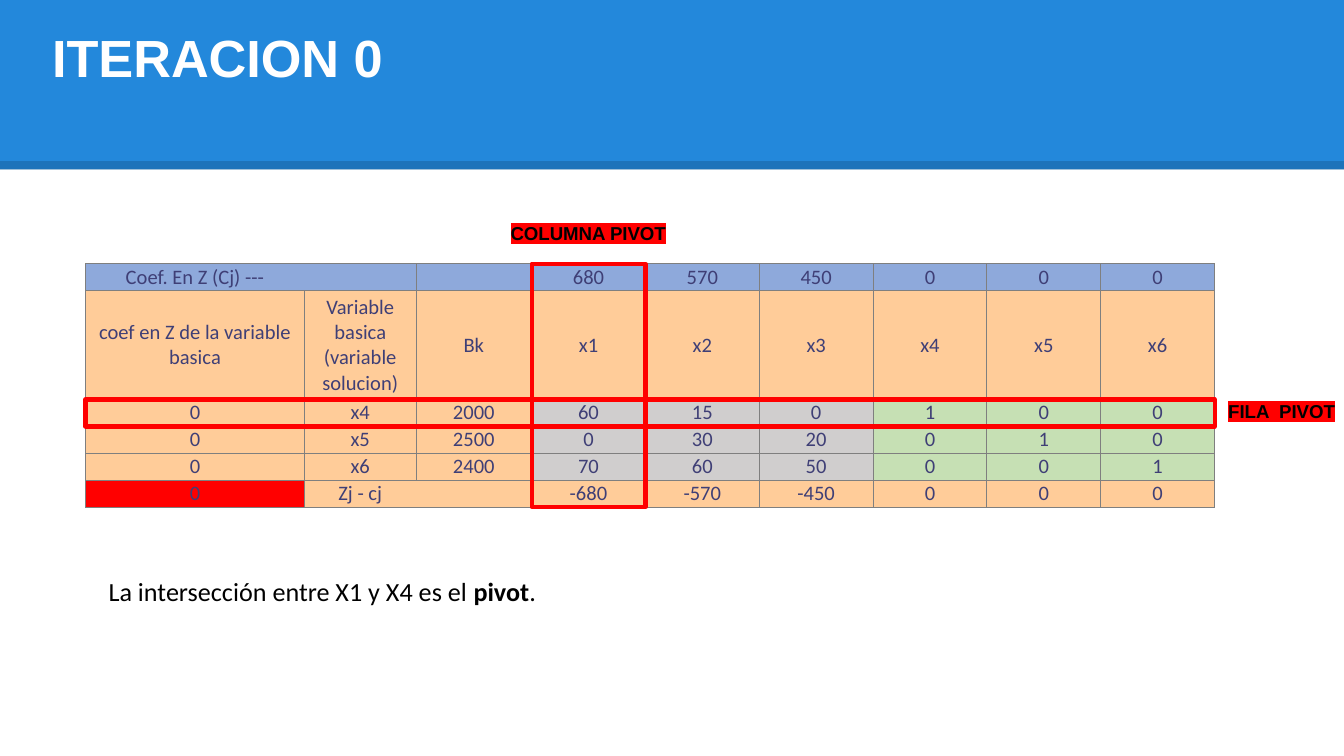
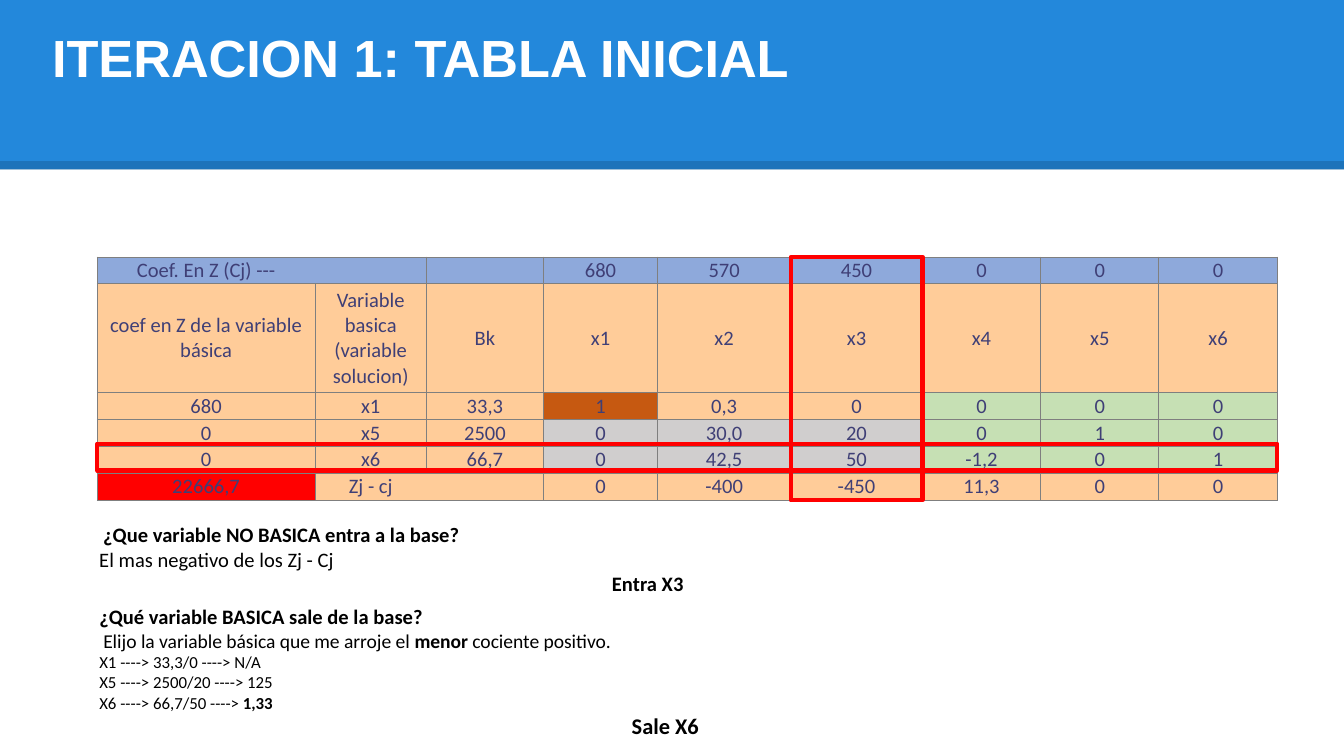
from itertools import accumulate

from lxml import etree
from pptx import Presentation
from pptx import util as u
from pptx.dml.color import RGBColor
from pptx.enum import shapes, text
from pptx.oxml.ns import qn

WIDE = 10
HIGH = WIDE * 9 / 16
BLUE, BLACK, WHITE, RED = "2388DB", "000000", "FFFFFF", "FF0000"
INK, EDGE = "3F3F76", "7F7F7F"
FILLS = {"h": "8EA9DB", "o": "FFCC99", "g": "D0CECE", "v": "C6E0B4",
         "r": RED, "p": "C65911"}
ROWS = [3.56, 14.41] + [3.56] * 4
MID = text.PP_ALIGN.CENTER


def rgb(code):
    return RGBColor.from_string(code)


def across(share):
    """Length from a percentage of the slide's width."""
    return u.Inches(WIDE * share / 100)


def down(share):
    """Length from a percentage of the slide's height."""
    return u.Inches(HIGH * share / 100)


def place(box):
    x, y, w, h = box
    return across(x), down(y), across(w), down(h)


def node(parent, tag, **attrs):
    return etree.SubElement(parent, qn(tag), attrs)


def style(font, **looks):
    font.color.rgb = rgb(looks.pop("color", BLACK))
    for name, value in looks.items():
        setattr(font, name, value)


def rect(slide, box, fill=None, line=None):
    shape = slide.shapes.add_shape(shapes.MSO_SHAPE.RECTANGLE, *place(box))
    shape.shadow.inherit = False
    if fill:
        shape.fill.solid()
        shape.fill.fore_color.rgb = rgb(fill)
    else:
        shape.fill.background()
    if line:
        shape.line.color.rgb = rgb(line)
        shape.line.width = u.Pt(2.25)
        node(shape.line.fill._xPr, "a:round")
    else:
        shape.line.fill.background()


def write(slide, box, paras, face="Calibri", color=BLACK, mark=None, right=0.1):
    """Text box; each paragraph is (words, size, align, indent), *bold* in stars."""
    frame = slide.shapes.add_textbox(*place(box)).text_frame
    frame.word_wrap = True
    frame.margin_right = u.Inches(right)
    for i, (words, size, align, indent) in enumerate(paras):
        para = frame.add_paragraph() if i else frame.paragraphs[0]
        para.alignment = align
        if indent:
            para._p.get_or_add_pPr().set("marL", str(u.Inches(indent)))
        for j, part in enumerate(words.split("*")):
            if not part:
                continue
            run = para.add_run()
            run.text = part
            style(run.font, size=u.Pt(size), name=face, bold=j % 2 == 1,
                  color=color)
            if mark:
                light = etree.Element(qn("a:highlight"))
                node(light, "a:srgbClr", val=mark)
                run.font._element.find(qn("a:solidFill")).addnext(light)


def banner(slide, title):
    rect(slide, (0, 0, 100, 22.42), BLUE)
    rule = slide.shapes.add_connector(
        shapes.MSO_CONNECTOR.STRAIGHT, 0, down(21.89), across(100), down(21.89))
    rule.line.color.rgb = rgb(BLACK)
    rule.line.width = u.Pt(4.5)
    node(next(rule._element.iter(qn("a:srgbClr"))), "a:alpha", val="14000")
    node(rule._element.spPr, "a:effectLst")
    write(slide, (2.9, 2.49, 92, 35.41), [(f"*{title}*", 28, None, 0)],
          "Arial", WHITE)


def border(cell, hidden):
    props = cell._tc.get_or_add_tcPr()
    for i, side in enumerate("LRTB"):
        line = etree.Element(qn(f"a:ln{side}"), w=str(u.Pt(0.5)))
        if side in hidden:
            node(line, "a:noFill")
        else:
            node(node(line, "a:solidFill"), "a:srgbClr", val=EDGE)
        props.insert(i, line)


def tableau(slide, left, top, cols, lines, pivot, lift=0):
    """Simplex table of (fills, words) lines, with its pivot row and column framed."""
    wide, high = sum(cols), sum(ROWS)
    table = slide.shapes.add_table(
        len(ROWS), len(cols), *place((left, top, wide, high))).table
    table.first_row = table.horz_banding = False
    for col, share in zip(table.columns, cols):
        col.width = across(share)
    for row, share in zip(table.rows, ROWS):
        row.height = down(share)
    hidden = {(0, 0): "R", (0, 1): "L", (5, 1): "R", (5, 2): "L"}
    for r, (fills, words) in enumerate(lines):
        for c, (fill, word) in enumerate(zip(fills, words.split("|"))):
            cell = table.cell(r, c)
            for side in ("left", "right", "top", "bottom"):
                setattr(cell, f"margin_{side}", 0)
            cell.vertical_anchor = text.MSO_ANCHOR.MIDDLE
            cell.fill.solid()
            cell.fill.fore_color.rgb = rgb(FILLS[fill])
            border(cell, hidden.get((r, c), ""))
            para = cell.text_frame.paragraphs[0]
            para.alignment = MID
            if word:
                run = para.add_run()
                run.text = word
                style(run.font, size=u.Pt(11), name="Calibri", color=INK)
            else:
                node(para._p, "a:endParaRPr", sz="1100")
    row, col = pivot
    xs = [left, *accumulate(cols, initial=left)][1:]
    ys = list(accumulate(ROWS, initial=top))
    rect(slide, (left, ys[row] - lift, wide, ROWS[row]), line=RED)
    rect(slide, (xs[col], top, cols[col], high), line=RED)


def start(slide):
    banner(slide, "ITERACION 0")
    tableau(slide, 6.36, 34.88, [16.3, 8.3, 8.6] + [8.47] * 6, [
        ("hhhhhhhhh", "Coef. En Z (Cj) ---|||680|570|450|0|0|0"),
        ("ooooooooo", "coef en Z de la variable basica|"
         "Variable basica (variable solucion)|Bk|x1|x2|x3|x4|x5|x6"),
        ("ooogggvvv", "0|x4|2000|60|15|0|1|0|0"),
        ("ooogggvvv", "0|x5|2500|0|30|20|0|1|0"),
        ("ooogggvvv", "0|x6|2400|70|60|50|0|0|1"),
        ("roooooooo", "0|Zj - cj||-680|-570|-450|0|0|0"),
    ], (2, 3))
    write(slide, (7.1, 75.27, 72.6, 6.05),
          [("La intersección entre X1 y X4 es el *pivot*.", 14, None, 0)])
    for words, box, right in (("COLUMNA PIVOT", (37, 28.47, 27.8, 4.8), 0.1),
                              ("FILA  PIVOT", (90.4, 51.96, 9.6, 4.8), 0)):
        write(slide, box, [(f"*{words}*", 10, None, 0)], "Arial",
              mark=RED, right=right)


def first(slide):
    banner(slide, "ITERACION 1: TABLA INICIAL")
    tableau(slide, 7.24, 33.99, [16.2, 8.3, 8.7, 8.5, 9.9, 9.8] + [8.8] * 3, [
        ("hhhhhhhhh", "Coef. En Z (Cj) ---|||680|570|450|0|0|0"),
        ("ooooooooo", "coef en Z de la variable básica|"
         "Variable basica (variable solucion)|Bk|x1|x2|x3|x4|x5|x6"),
        ("ooopoovvv", "680|x1|33,3|1|0,3|0|0|0|0"),
        ("ooogggvvv", "0|x5|2500|0|30,0|20|0|1|0"),
        ("ooogggvvv", "0|x6|66,7|0|42,5|50|-1,2|0|1"),
        ("roooooooo", "22666,7|Zj - cj||0|-400|-450|11,3|0|0"),
    ], (4, 5), 0.4)
    write(slide, (6.4, 68.15, 83.6, 11.74), [
        ("*¿Que variable NO BASICA entra a la base?*", 11, None, 0.03),
        ("El mas negativo de los Zj - Cj", 11, None, 0),
        ("*Entra X3*", 11, MID, 0),
    ])
    write(slide, (6.4, 79, 86.2, 21), [
        ("*¿Qué variable BASICA sale de la base?*", 11, None, 0),
        ("Elijo la variable básica que me arroje el *menor* cociente positivo.",
         10.5, None, 0.03),
        ("X1 ----> 33,3/0 ----> N/A", 9, None, 0),
        ("X5 ----> 2500/20 ----> 125", 9, None, 0),
        ("X6 ----> 66,7/50 ----> *1,33*", 9, None, 0),
        ("*Sale X6*", 12, MID, 0),
    ])


def main():
    deck = Presentation()
    deck.slide_width, deck.slide_height = u.Inches(WIDE), u.Inches(HIGH)
    for build in (start, first):
        build(deck.slides.add_slide(deck.slide_layouts[6]))
    deck.save("out.pptx")


if __name__ == "__main__":
    main()
